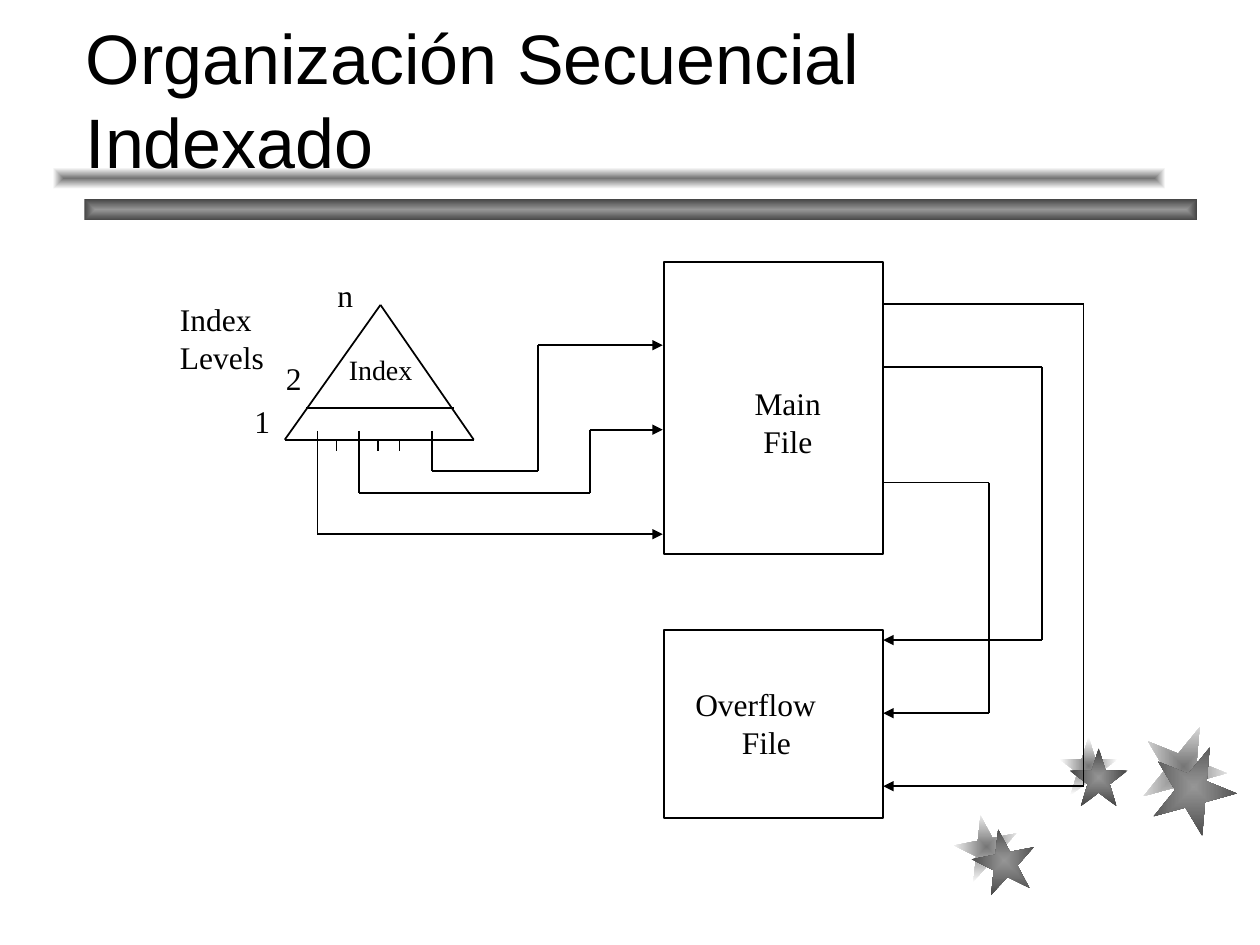
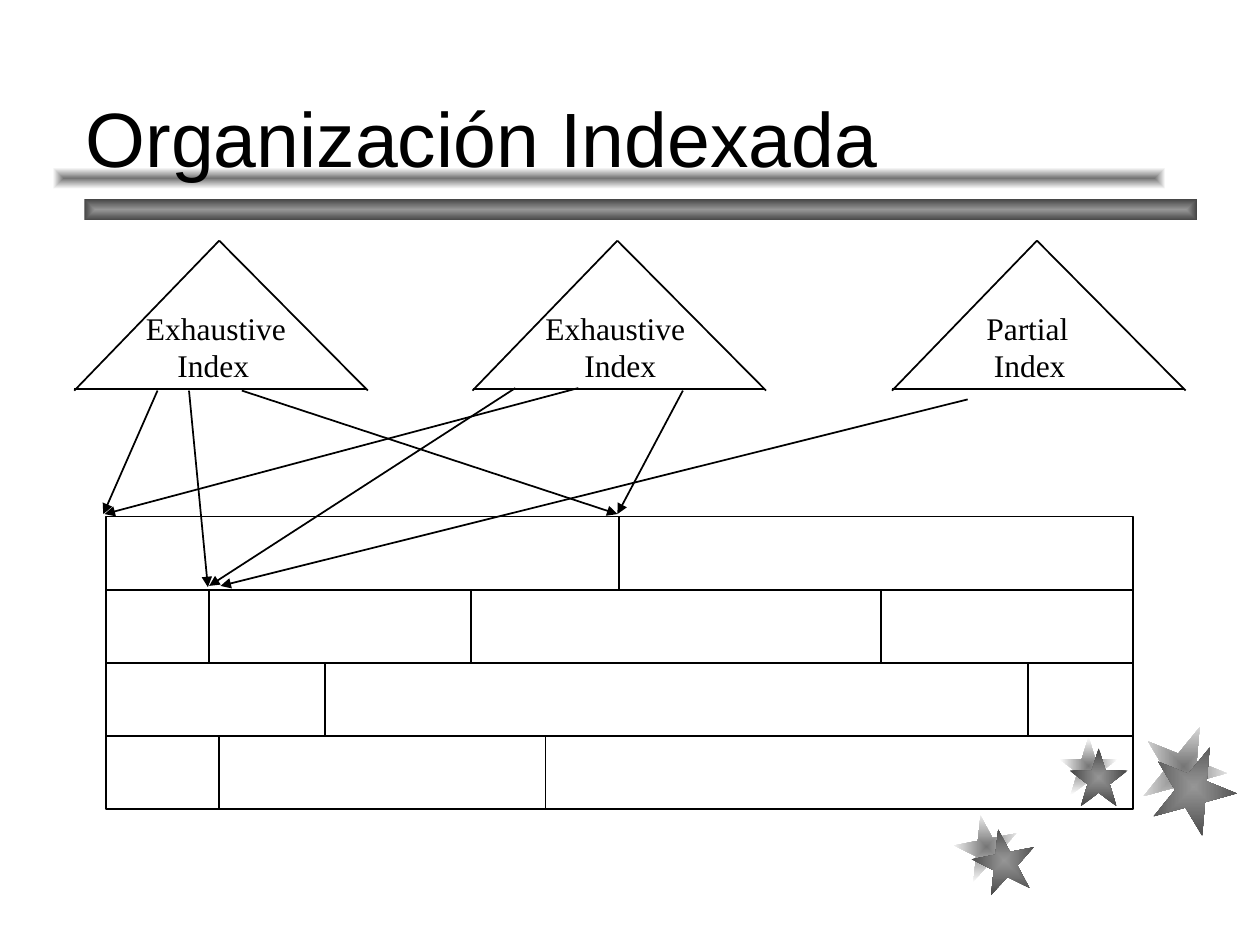
from itertools import pairwise

from pptx import Presentation
from pptx.dml.color import RGBColor
from pptx.enum.shapes import MSO_CONNECTOR as CONNECTOR, MSO_SHAPE as SHAPE
from pptx.enum.text import MSO_ANCHOR as ANCHOR, MSO_AUTO_SIZE as FIT, PP_ALIGN as ALIGN
from pptx.oxml import parse_xml
from pptx.oxml.ns import nsdecls, qn
from pptx.util import Inches as cells, Pt

# All lengths are cells of a grid 10 columns wide and 7.5 rows high, one inch each.
INK = "000000"
DARK = ("969696", "454545")  # gradient centre, edge
PALE = ("757575", "FFFFFF")
TITLE_FONT, BODY_FONT = "Arial", "Times New Roman"

prs = Presentation()
prs.slide_width, prs.slide_height = cells(10), cells(7.5)
layout = prs.slide_layouts[5]

# Diagrams: labels are (x, y, width, size, [(text, indent), ...])
MAIN_LEFT, MAIN_RIGHT, MAIN_WIDTH = 5.27, 7.01, 1.74
ARROW_END = 5.26
sequential = {
    "title": ("Organización Secuencial Indexado", 40),
    "boxes": [(MAIN_LEFT, 2.08, MAIN_WIDTH, 2.32), (MAIN_LEFT, 5, MAIN_WIDTH, 1.49)],
    "lines": [[(2.26, 3.49), (3.02, 2.42), (3.76, 3.49), (2.26, 3.49)],
              [(2.43, 3.24), (3.6, 3.24)]],
    "arrows": [[(2.52, 3.42), (2.52, 4.24), (ARROW_END, 4.24)]],
    "labels": [(1.33, 2.33, 0.92, 18, [("Index", 0), ("Levels", 0)]),
               (1.92, 3.14, 0.34, 18, [("1", 0)]),
               (2.17, 2.8, 0.34, 18, [("2", 0)]),
               (2.58, 2.14, 0.34, 18, [("n", 0)]),
               (2.67, 2.75, 0.76, 16, [("Index", 0)]),
               (5.83, 3, 0.85, 18, [("Main", 0.06), ("File", 0.13)]),
               (5.42, 5.39, 1.2, 18, [("Overflow", 0), ("File", 0.37)])],
}
for x in (2.67, 3, 3.17):
    sequential["lines"].append([(x, 3.5), (x, 3.58)])
for x, low, turn, high in ((2.85, 3.91, 4.68, 3.41), (3.43, 3.74, 4.27, 2.74)):
    sequential["arrows"].append(
        [(x, 3.42), (x, low), (turn, low), (turn, high), (ARROW_END, high)])
for start, turn, end in ((2.41, 8.6, 6.24), (2.91, 8.27, 5.08), (3.83, 7.85, 5.66)):
    sequential["arrows"].append(
        [(MAIN_RIGHT + 0.01, start), (turn, start), (turn, end), (MAIN_RIGHT, end)])

FILE_LEFT, FILE_TOP, FILE_WIDTH, ROW = 0.84, 4.1, 8.15, 0.58
BASE = 3.1
indexed = {
    "title": ("Organización Indexada", 44),
    "boxes": [(FILE_LEFT, FILE_TOP, FILE_WIDTH, 4 * ROW)],
    "lines": [],
    "arrows": [[(1.25, BASE), (0.82, 4.08)], [(1.5, BASE), (1.65, 4.66)],
               [(1.92, BASE), (4.9, 4.08)], [(4.09, 3.08), (1.66, 4.65)],
               [(4.59, 3.08), (0.83, 4.08)], [(5.42, BASE), (4.9, 4.08)],
               [(7.68, 3.17), (1.75, 4.65)]],
    "labels": [(1.06, 2.4, 1.35, 18, [("Exhaustive", 0), ("Index", 0.25)]),
               (4.23, 2.4, 1.35, 18, [("Exhaustive", 0), ("Index", 0.31)]),
               (7.73, 2.4, 0.9, 18, [("Partial", 0), ("Index", 0.06)])],
}
for left in (0.59, 3.75, 7.08):
    indexed["lines"] += [
        [(left, BASE), (left + 1.15, 1.91), (left + 2.33, BASE)],
        [(left, BASE - 0.01), (left + 2.32, BASE - 0.01)]]
for row, dividers in enumerate([(4.91,), (1.66, 3.74, 6.99), (2.58, 8.16), (1.74, 4.33)]):
    top = FILE_TOP + row * ROW
    if row:
        indexed["lines"].append([(FILE_LEFT, top), (FILE_LEFT + FILE_WIDTH, top)])
    for x in dividers:
        indexed["lines"].append([(x, top), (x, top + ROW)])

for number, diagram in enumerate((sequential, indexed)):
    s = prs.slides.add_slide(layout)

    # Stars and title bars are made once and handed to the shared layout
    if number == 0:
        decor = [(SHAPE.STAR_5_POINT, x, y, size, size, turn, PALE)
                 for x, y, size, turn in ((7.58, 6.47, 0.5, -11), (8.41, 5.85, 0.46, 0),
                                          (9.06, 5.75, 0.67, 22))]
        decor += [(SHAPE.STAR_5_POINT, x, y, size, size, turn, DARK)
                  for x, y, size, turn in ((7.72, 6.58, 0.5, -11), (8.49, 5.94, 0.46, 0),
                                           (9.14, 5.91, 0.67, 22))]
        decor += [(SHAPE.RECTANGLE, 0.67, 1.58, 8.83, 0.17, 0, DARK),
                  (SHAPE.RECTANGLE, 0.42, 1.33, 8.83, 0.17, 0, PALE)]
        for i, (kind, x, y, w, h, turn, (centre, edge)) in enumerate(decor):
            sp = s.shapes.add_shape(kind, cells(x), cells(y), cells(w), cells(h))
            sp.rotation = turn
            sp.shadow.inherit = False
            sp.line.fill.background()
            sp.fill.background()
            props = sp.element.spPr
            props.replace(props.find(qn("a:noFill")), parse_xml(
                f'<a:gradFill {nsdecls("a")} rotWithShape="1"><a:gsLst>'
                f'<a:gs pos="0"><a:srgbClr val="{centre}"/></a:gs>'
                f'<a:gs pos="100000"><a:srgbClr val="{edge}"/></a:gs></a:gsLst>'
                '<a:path path="rect"><a:fillToRect l="50000" t="50000" r="50000" b="50000"/>'
                '</a:path></a:gradFill>'))
            sp.element.nvSpPr.cNvPr.set("id", str(100 + i))
            layout.shapes.element.insert(2 + i, sp.element)

    title = s.shapes.title
    title.left, title.top = cells(0.58), cells(0.25)
    title.width, title.height = cells(8.5), cells(1.25)
    tf = title.text_frame
    tf.auto_size, tf.vertical_anchor = FIT.NONE, ANCHOR.BOTTOM
    p = tf.paragraphs[0]
    p.alignment = ALIGN.LEFT
    r = p.add_run()
    r.text, size = diagram["title"]
    r.font.name, r.font.size = TITLE_FONT, Pt(size)
    r.font.color.rgb = RGBColor.from_string(INK)

    for box in diagram["boxes"]:
        sp = s.shapes.add_shape(SHAPE.RECTANGLE, *map(cells, box))
        sp.shadow.inherit = False
        sp.fill.background()
        sp.line.color.rgb, sp.line.width = RGBColor.from_string(INK), Pt(1)

    for kind in ("lines", "arrows"):
        for points in diagram[kind]:
            for start, end in pairwise(points):
                line = s.shapes.add_connector(
                    CONNECTOR.STRAIGHT, *map(cells, start + end))
                line.line.color.rgb, line.line.width = RGBColor.from_string(INK), Pt(1)
                line.element.spPr.append(parse_xml(f'<a:effectLst {nsdecls("a")}/>'))
            if kind == "arrows":
                line.element.spPr.find(qn("a:ln")).append(
                    parse_xml(f'<a:tailEnd {nsdecls("a")} type="triangle"/>'))

    for x, y, width, size, rows in diagram["labels"]:
        height = 0.1 + len(rows) * size / 60
        tf = s.shapes.add_textbox(*map(cells, (x, y, width, height))).text_frame
        tf.word_wrap, tf.auto_size = False, FIT.NONE
        for i, (text, indent) in enumerate(rows):
            p = tf.add_paragraph() if i else tf.paragraphs[0]
            if indent:
                p._p.get_or_add_pPr().set("marL", str(cells(indent)))
            r = p.add_run()
            r.text = text
            r.font.name, r.font.size = BODY_FONT, Pt(size)
            r.font.color.rgb = RGBColor.from_string(INK)

prs.save("out.pptx")
